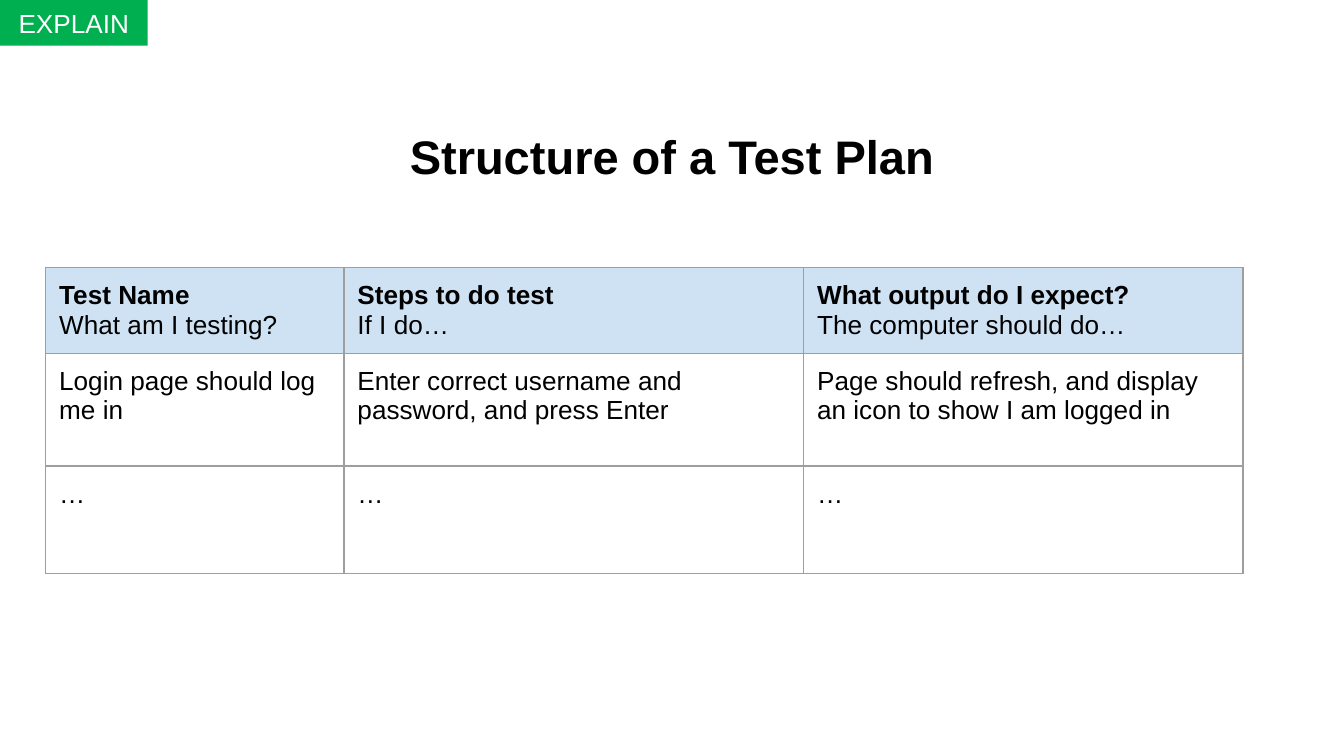
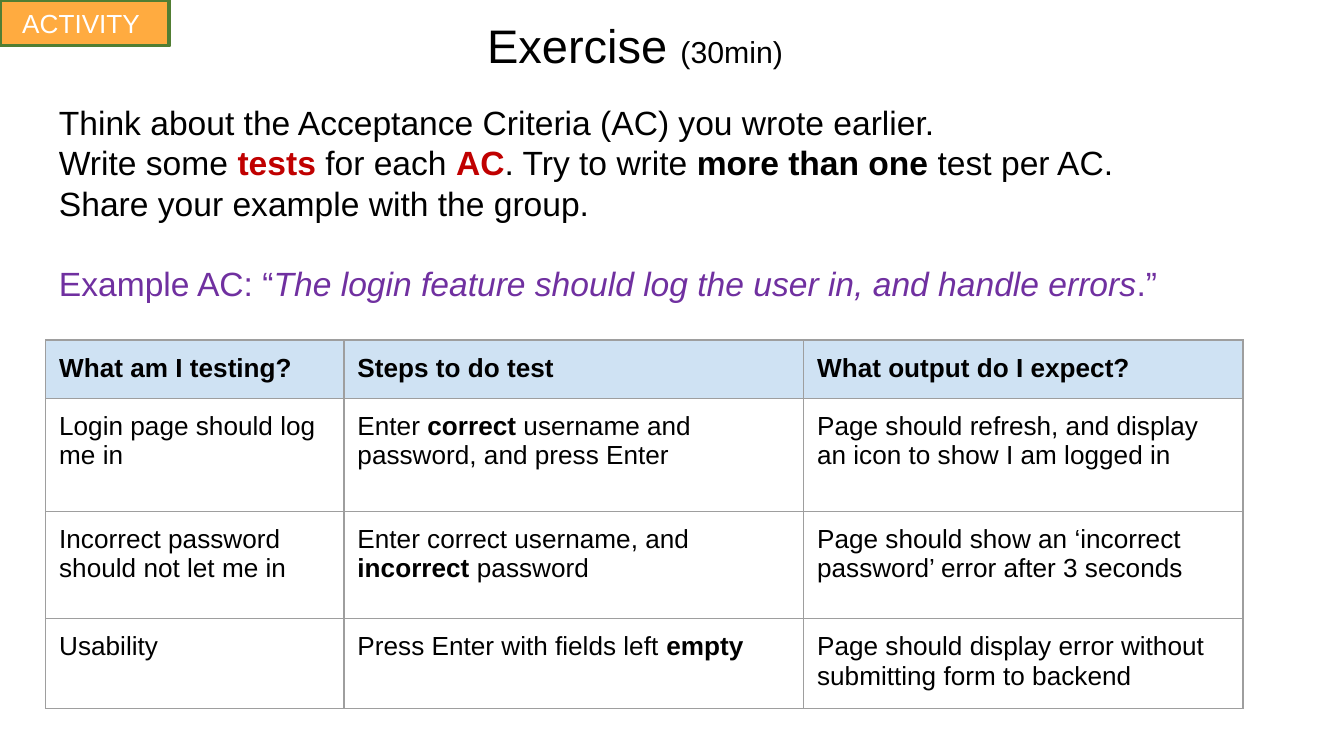
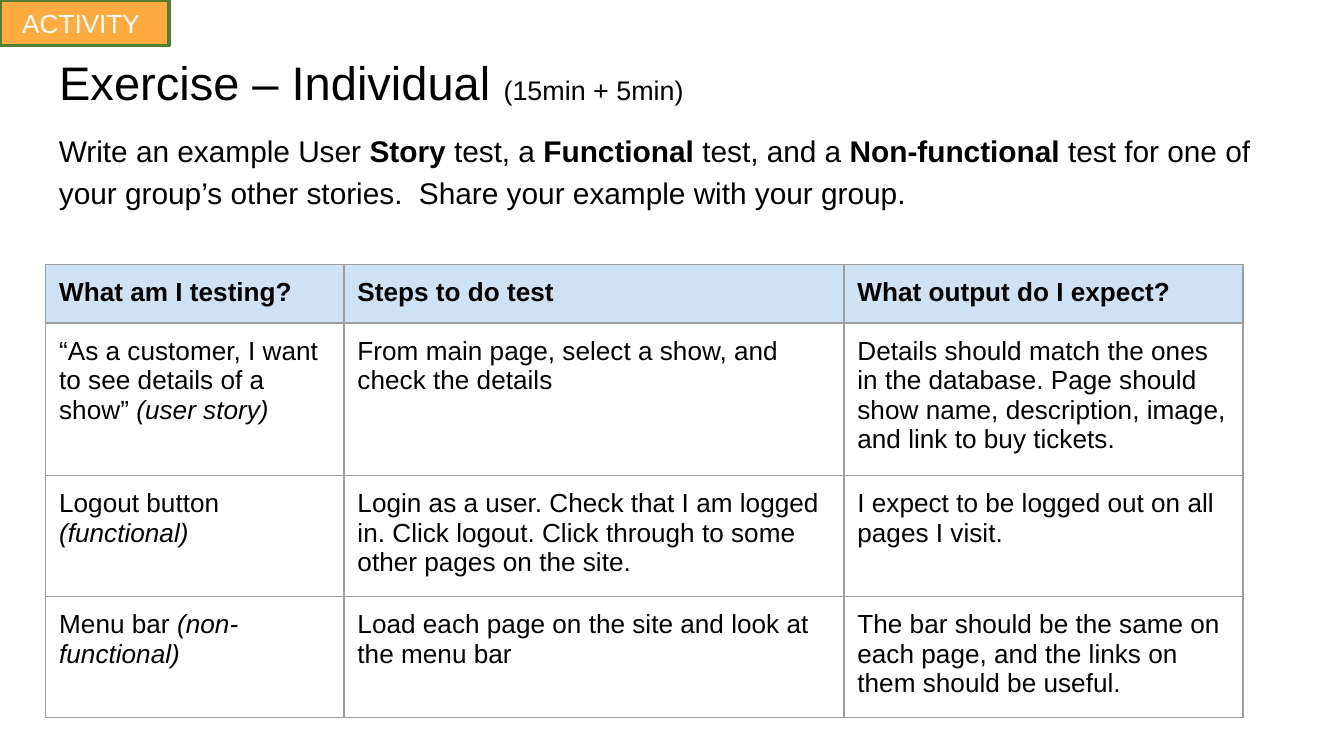
import lxml.etree
import pptx
import pptx.dml.color
import pptx.enum.shapes
import pptx.enum.text
import pptx.oxml.ns
import pptx.util

Inches = pptx.util.Inches
Pt = pptx.util.Pt
RGB = pptx.dml.color.RGBColor.from_string
ALIGN = pptx.enum.text.PP_ALIGN
FIT = pptx.enum.text.MSO_AUTO_SIZE
qn = pptx.oxml.ns.qn

INK = {
    "black": "000000", "white": "FFFFFF", "red": "C00000", "plum": "7030A0",
    "green": "00B050", "amber": "FFAB40", "edge": "517E33",
    "head": "CFE2F3", "grid": "9E9E9E",
}
MARKS = {
    "*": {"bold": True},
    "/": {"italic": True},
    "!": {"bold": True, "ink": "red"},
    "?": {"ink": "plum"},
    "=": {"ink": "plum", "italic": True},
    "~": {"size": 16.2},
    "^": {"size": 14.4},
}
TAGS = {
    "EXPLAIN": {"width": 1.1, "fill": "green", "line": None},
    "ACTIVITY ": {"width": 1.26, "fill": "amber", "line": "edge"},
}
LEFT, WIDE = 0.34, 9.32
HEADS = ["*What am I testing?", "*Steps to do test", "*What output do I expect?"]
LOGIN = "Login page should log me in"
ICON = "Page should refresh, and display an icon to show I am logged in"

PAGES = [
    {
        "tag": "EXPLAIN",
        "title": "*Structure of a Test Plan",
        "box": (LEFT, 0.85, WIDE, 0.63), "align": ALIGN.CENTER,
        "top": 1.99, "high": 2.31,
        "cols": [2.22, 3.42, 3.27], "tall": [0.4, 0.84, 0.8],
        "rows": [
            ["*Test Name\nWhat am I testing?", "*Steps to do test\nIf I do…",
             "*What output do I expect?\nThe computer should do…"],
            [LOGIN, "Enter correct username and password, and press Enter", ICON],
            ["…"] * 3,
        ],
    },
    {
        "tag": "ACTIVITY ",
        "title": "Exercise |~(30min)",
        "box": (1.26, 0.02, 6.93, 0.62), "align": ALIGN.CENTER,
        "body": "Think about the Acceptance Criteria (AC) you wrote earlier.\n"
                "Write some |!tests| for each |!AC|. Try to write "
                "|*more than one |test per AC.\n"
                "Share your example with the group.\n"
                "?Example AC: “|=The login feature should log the user in, "
                "and handle errors|?.”",
        "area": (LEFT, 0.66, WIDE, 1.86), "size": 18, "lead": 1, "gap": 21.6,
        "top": 2.53, "high": 2.74,
        "cols": [2.22, 3.42, 3.27], "tall": [0.4, 0.84, 0.8, 0.61],
        "rows": [
            HEADS,
            [LOGIN, "Enter |*correct| username and password, and press Enter", ICON],
            ["Incorrect password should not let me in",
             "Enter correct username, and |*incorrect| password",
             "Page should show an ‘incorrect password’ error after 3 seconds"],
            ["Usability", "Press Enter with fields left |*empty",
             "Page should display error without submitting form to backend"],
        ],
    },
    {
        "tag": "ACTIVITY ",
        "title": "Exercise – Individual |^(15min + 5min)",
        "box": (LEFT, 0.3, WIDE, 0.63), "align": ALIGN.LEFT,
        "body": "Write an example User |*Story| test, a |*Functional| test, and a "
                "|*Non-functional| test for one of your group’s other stories.  "
                "Share your example with your group.",
        "area": (LEFT, 0.85, WIDE, 1.12), "size": 16, "lead": 1.15, "gap": 0,
        "top": 1.97, "high": 3.37,
        "cols": [2.22, 3.72, 2.97], "tall": [0.4, 0.82, 0.82, 0.82],
        "rows": [
            HEADS,
            ["“As a customer, I want to see details of a show” |/(user story)",
             "From main page, select a show, and check the details",
             "Details should match the ones in the database. Page should show "
             "name, description, image, and link to buy tickets."],
            ["Logout button |/(functional)",
             "Login as a user. Check that I am logged in. Click logout. "
             "Click through to some other pages on the site.",
             "I expect to be logged out on all pages I visit."],
            ["Menu bar |/(non-functional)",
             "Load each page on the site and look at the menu bar",
             "The bar should be the same on each page, and the links on them "
             "should be useful."],
        ],
    },
]


def write(frame, text, size, align=ALIGN.LEFT, ink="black", lead=1):
    frame.word_wrap = True
    for i, line in enumerate(text.split("\n")):
        para = frame.add_paragraph() if i else frame.paragraphs[0]
        look = {"alignment": align, "line_spacing": lead,
                "space_before": Pt(0), "space_after": Pt(0)}
        for key, value in look.items():
            setattr(para, key, value)
        for piece in line.split("|"):
            mark = MARKS.get(piece[:1], {})
            run = para.add_run()
            run.text = piece[1:] if mark else piece
            look = {"name": "Arial", "size": size, "bold": False,
                    "italic": False, "ink": ink, **mark}
            run.font.color.rgb = RGB(INK[look.pop("ink")])
            look["size"] = Pt(look["size"])
            for key, value in look.items():
                setattr(run.font, key, value)
        lxml.etree.SubElement(para._p, qn("a:endParaRPr"), sz=str(round(size * 100)))


def pad(item, side, end):
    edges = {"margin_left": side, "margin_right": side,
             "margin_top": end, "margin_bottom": end}
    for key, value in edges.items():
        setattr(item, key, Inches(value))


deck = pptx.Presentation()
deck.slide_width = Inches(10)
deck.slide_height = Inches(10) * 9 // 16

for page in PAGES:
    slide = deck.slides.add_slide(deck.slide_layouts[5])
    title = slide.shapes.title
    for key, value in zip(("left", "top", "width", "height"), page["box"]):
        setattr(title, key, Inches(value))
    frame = title.text_frame
    frame.auto_size = FIT.NONE
    frame.vertical_anchor = pptx.enum.text.MSO_ANCHOR.TOP
    pad(frame, 0.1, 0.1)
    write(frame, page["title"], 25.2, page["align"])

    if "body" in page:
        frame = slide.shapes.add_textbox(*map(Inches, page["area"])).text_frame
        pad(frame, 0.1, 0.1)
        write(frame, page["body"], page["size"], lead=page["lead"])
        frame.paragraphs[-1].space_before = Pt(page["gap"])

    rows, cols, tall = page["rows"], page["cols"], page["tall"]
    grid = slide.shapes.add_table(
        len(rows), len(cols), Inches(LEFT), Inches(page["top"]),
        Inches(sum(cols)), Inches(page["high"]))
    table = grid.table
    table.first_row = table.horz_banding = False
    for col, width in zip(table.columns, cols):
        col.width = Inches(width)
    for r, row in enumerate(rows):
        table.rows[r].height = Inches(tall[r])
        for c, text in enumerate(row):
            cell = table.cell(r, c)
            pad(cell, 0.1, 0.1)
            write(cell.text_frame, text, 14)
            props = cell._tc.get_or_add_tcPr()
            for side in ("lnL", "lnR", "lnT", "lnB"):
                line = lxml.etree.SubElement(props, qn("a:" + side), w=str(Pt(0.75)))
                fill = lxml.etree.SubElement(line, qn("a:solidFill"))
                lxml.etree.SubElement(fill, qn("a:srgbClr"), val=INK["grid"])
            if r:
                cell.fill.background()
            else:
                cell.fill.solid()
                cell.fill.fore_color.rgb = RGB(INK["head"])
    grid.height = Inches(page["high"])

    look = TAGS[page["tag"]]
    tag = slide.shapes.add_shape(
        pptx.enum.shapes.MSO_SHAPE.RECTANGLE, 0, 0,
        Inches(look["width"]), Inches(0.34))
    tag.shadow.inherit = False
    tag.fill.solid()
    tag.fill.fore_color.rgb = RGB(INK[look["fill"]])
    if look["line"]:
        tag.line.color.rgb = RGB(INK[look["line"]])
        tag.line.width = Pt(2)
    else:
        tag.line.fill.background()
    tag.text_frame.auto_size = FIT.SHAPE_TO_FIT_TEXT
    pad(tag.text_frame, 0.1, 0.05)
    write(tag.text_frame, page["tag"], 14, ALIGN.CENTER, "white")

deck.save("out.pptx")
